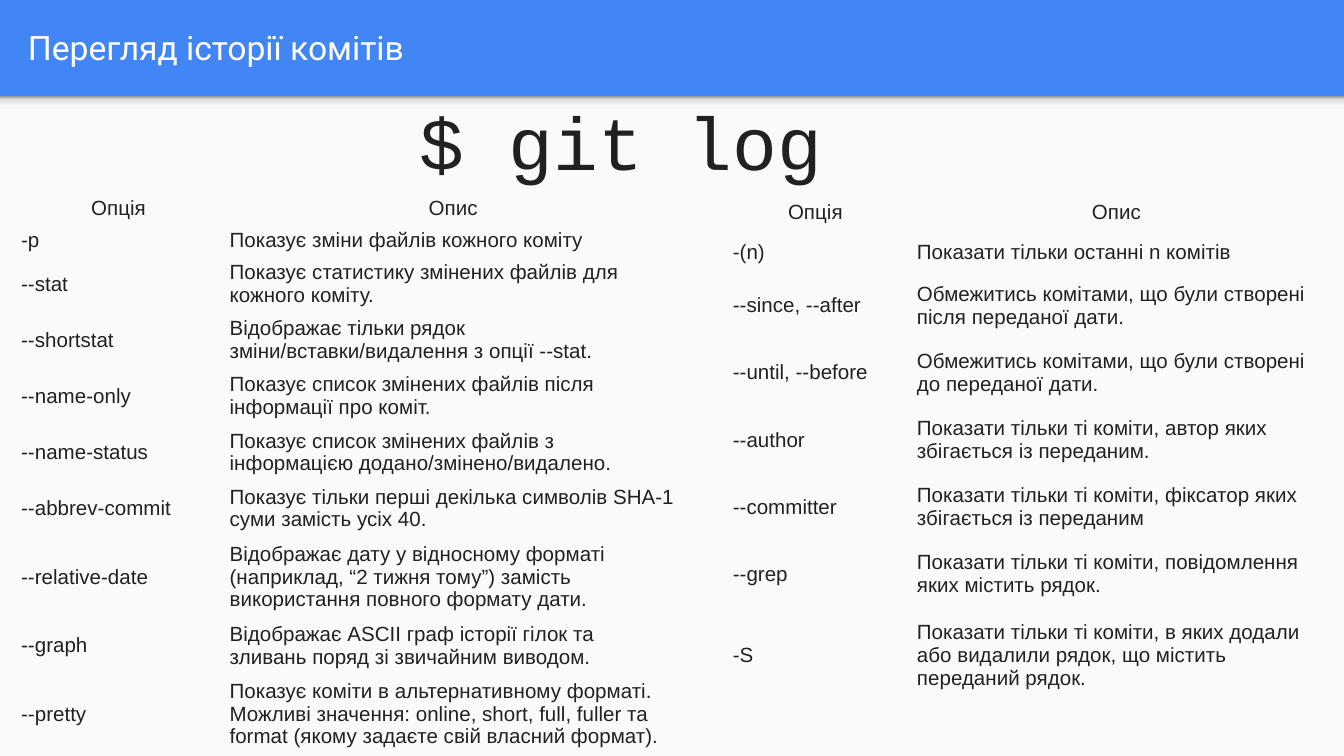
from copy import deepcopy

from pptx import Presentation
from pptx.dml.color import RGBColor
from pptx.enum.shapes import MSO_SHAPE
from pptx.enum.text import MSO_ANCHOR, MSO_AUTO_SIZE, PP_ALIGN
from pptx.util import Cm, Pt

RECTANGLE = MSO_SHAPE.RECTANGLE
MIDDLE = MSO_ANCHOR.MIDDLE
TOP = MSO_ANCHOR.TOP
LEFT = PP_ALIGN.LEFT
CENTER = PP_ALIGN.CENTER
FIT_SHAPE = MSO_AUTO_SIZE.SHAPE_TO_FIT_TEXT
FIXED_SIZE = MSO_AUTO_SIZE.NONE
PLAIN_STYLE = "{2D5ABB26-0587-4C30-8999-92F81FD0307C}"

COLORS = {
    "header": "4285F4",
    "panel": "FAFAFA",
    "title": "FFFFFF",
    "text": "212121",
    "shadow_light": "F9F9F9",
    "shadow_middle": "DEDEDE",
    "shadow_dark": "999999",
}


def color(name):
    return RGBColor.from_string(COLORS[name])


def write(paragraph, text, font_name, size, color_name, alignment=LEFT):
    paragraph.alignment = alignment
    run = paragraph.add_run()
    run.text = text
    for attribute, value in {"name": font_name, "size": Pt(size), "bold": False}.items():
        setattr(run.font, attribute, value)
    run.font.color.rgb = color(color_name)


presentation = Presentation()
presentation.slide_width = Cm(25.4)
presentation.slide_height = Cm(14.29)
slide = presentation.slides.add_slide(presentation.slide_layouts[6])
slide.background.fill.solid()
slide.background.fill.fore_color.rgb = color("header")

panel = slide.shapes.add_shape(RECTANGLE, 0, Cm(1.82), Cm(25.4), Cm(12.47))
panel.fill.solid()
panel.fill.fore_color.rgb = color("panel")

header_shadow = slide.shapes.add_shape(RECTANGLE, 0, Cm(1.82), Cm(25.4), Cm(0.3))
header_shadow.fill.gradient()
header_shadow.fill.gradient_angle = 90
stop_list = header_shadow.element.xpath(".//a:gsLst")[0]
for _ in range(2):
    stop_list.append(deepcopy(stop_list[0]))
shadow_stops = [
    (0, "shadow_light"),
    (0.36, "shadow_light"),
    (0.8, "shadow_middle"),
    (1, "shadow_dark"),
]
for stop, (position, name) in zip(header_shadow.fill.gradient_stops, shadow_stops):
    stop.position = position
    stop.color.rgb = color(name)

for shape in (panel, header_shadow):
    shape.line.fill.background()
    shape.shadow.inherit = False

headings = [
    {
        "text": ("Перегляд історії комітів", "Roboto", 18, "title"),
        "box": (0.28, 0.05, 24.5, 1.68),
        "frame": {
            "word_wrap": True,
            "auto_size": FIXED_SIZE,
            "vertical_anchor": MIDDLE,
            "margin_top": Cm(0.25),
            "margin_bottom": Cm(0.25),
        },
    },
    {
        "text": ("$ git log", "Courier New", 40, "text"),
        "box": (7.67, 1.68, 16.59, 1.96),
        "frame": {"word_wrap": True, "auto_size": FIT_SHAPE, "vertical_anchor": TOP},
    },
]
for heading in headings:
    text_frame = slide.shapes.add_textbox(*map(Cm, heading["box"])).text_frame
    for attribute, value in heading["frame"].items():
        setattr(text_frame, attribute, value)
    write(text_frame.paragraphs[0], *heading["text"])

output_options = [
    ("Опція", "Опис"),
    ("-p", "Показує зміни файлів кожного коміту"),
    ("--stat", "Показує статистику змінених файлів для кожного коміту."),
    ("--shortstat", "Відображає тільки рядок зміни/вставки/видалення з опції --stat."),
    ("--name-only", "Показує список змінених файлів після інформації про коміт."),
    ("--name-status", "Показує список змінених файлів з інформацією додано/змінено/видалено."),
    ("--abbrev-commit", "Показує тільки перші декілька символів SHA-1 суми замість усіх 40."),
    (
        "--relative-date",
        "Відображає дату у відносному форматі (наприклад, “2 тижня тому”) "
        "замість використання повного формату дати.",
    ),
    ("--graph", "Відображає ASCII граф історії гілок та зливань поряд зі звичайним виводом."),
    (
        "--pretty",
        "Показує коміти в альтернативному форматі. Можливі значення: online, short, "
        "full, fuller та format (якому задаєте свій власний формат).",
    ),
]
filter_options = [
    ("Опція", "Опис"),
    ("-(n)", "Показати тільки останні n комітів"),
    ("--since, --after", "Обмежитись комітами, що були створені після переданої дати."),
    ("--until, --before", "Обмежитись комітами, що були створені до переданої дати."),
    ("--author", "Показати тільки ті коміти, автор яких збігається із переданим."),
    ("--committer", "Показати тільки ті коміти, фіксатор яких збігається із переданим"),
    ("--grep", "Показати тільки ті коміти, повідомлення яких містить рядок."),
    (
        "-S",
        "Показати тільки ті коміти, в яких додали або видалили рядок, "
        "що містить переданий рядок.",
    ),
]
option_tables = [
    {
        "rows": output_options,
        "left": 0.27,
        "widths": (3.94, 8.71),
        "heights": [0.6] * 2 + [1.06] * 5 + [1.53, 1.06, 1.53],
        "margins": (0.13, 0.06),
    },
    {
        "rows": filter_options,
        "left": 13.67,
        "widths": (3.48, 7.9),
        "heights": [0.75] * 2 + [1.27] * 5 + [1.8],
        "margins": (0.18, 0.1),
    },
]
for options in option_tables:
    rows, widths, heights = options["rows"], options["widths"], options["heights"]
    frame = slide.shapes.add_table(
        len(rows), 2, Cm(options["left"]), Cm(3.64), Cm(sum(widths)), Cm(sum(heights))
    )
    table = frame.table
    table.first_row = False
    table.horz_banding = False
    frame.element.xpath(".//a:tableStyleId")[0].text = PLAIN_STYLE
    for column, width in zip(table.columns, widths):
        column.width = Cm(width)
    side, vertical = map(Cm, options["margins"])
    cell_format = {
        "vertical_anchor": MIDDLE,
        "margin_left": side,
        "margin_right": side,
        "margin_top": vertical,
        "margin_bottom": vertical,
    }
    for row_index, (texts, height) in enumerate(zip(rows, heights)):
        table.rows[row_index].height = Cm(height)
        alignment = LEFT if row_index else CENTER
        for cell, text in zip(table.rows[row_index].cells, texts):
            cell.fill.background()
            for attribute, value in cell_format.items():
                setattr(cell, attribute, value)
            write(cell.text_frame.paragraphs[0], text, "Arial", 11, "text", alignment)

presentation.save("out.pptx")
